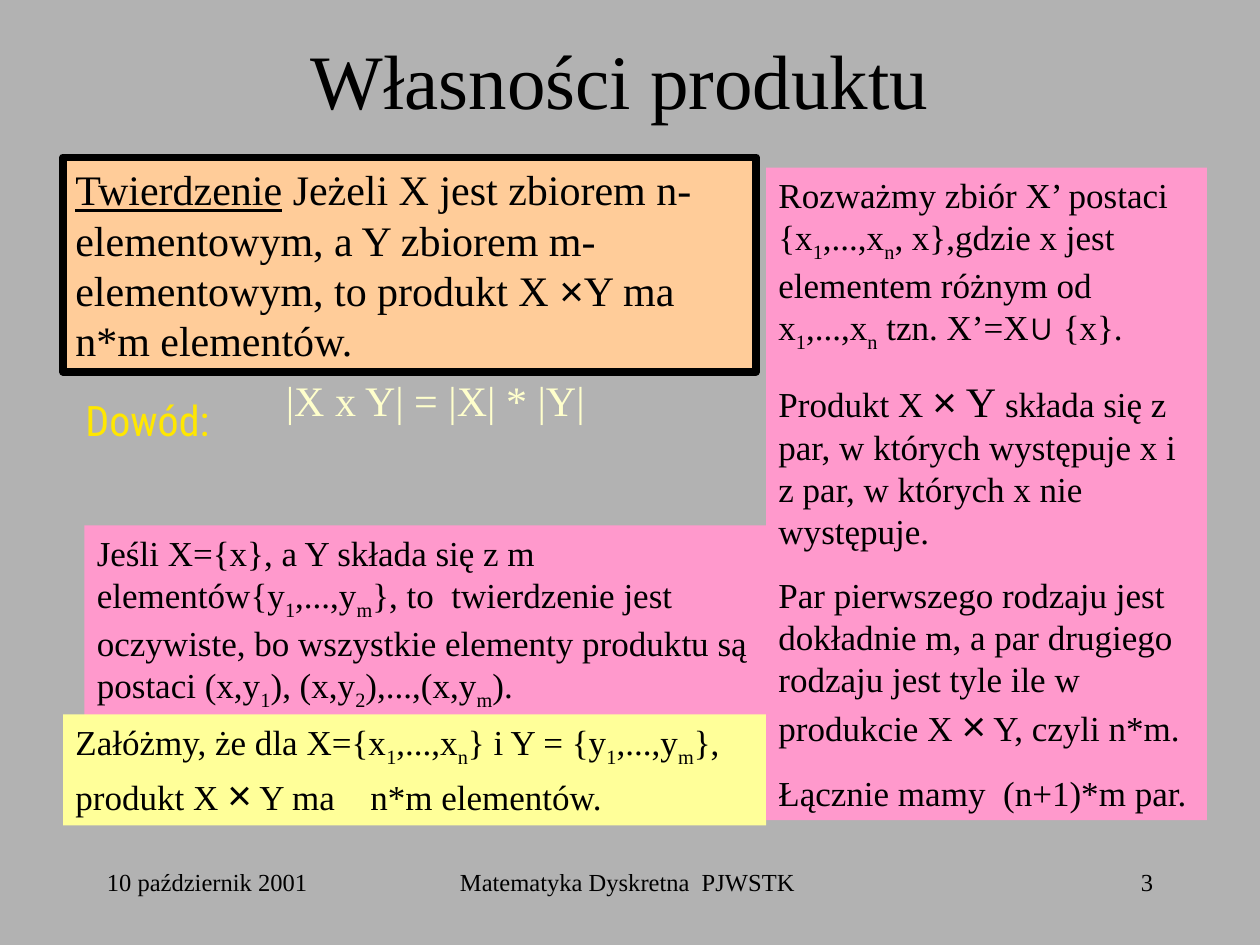
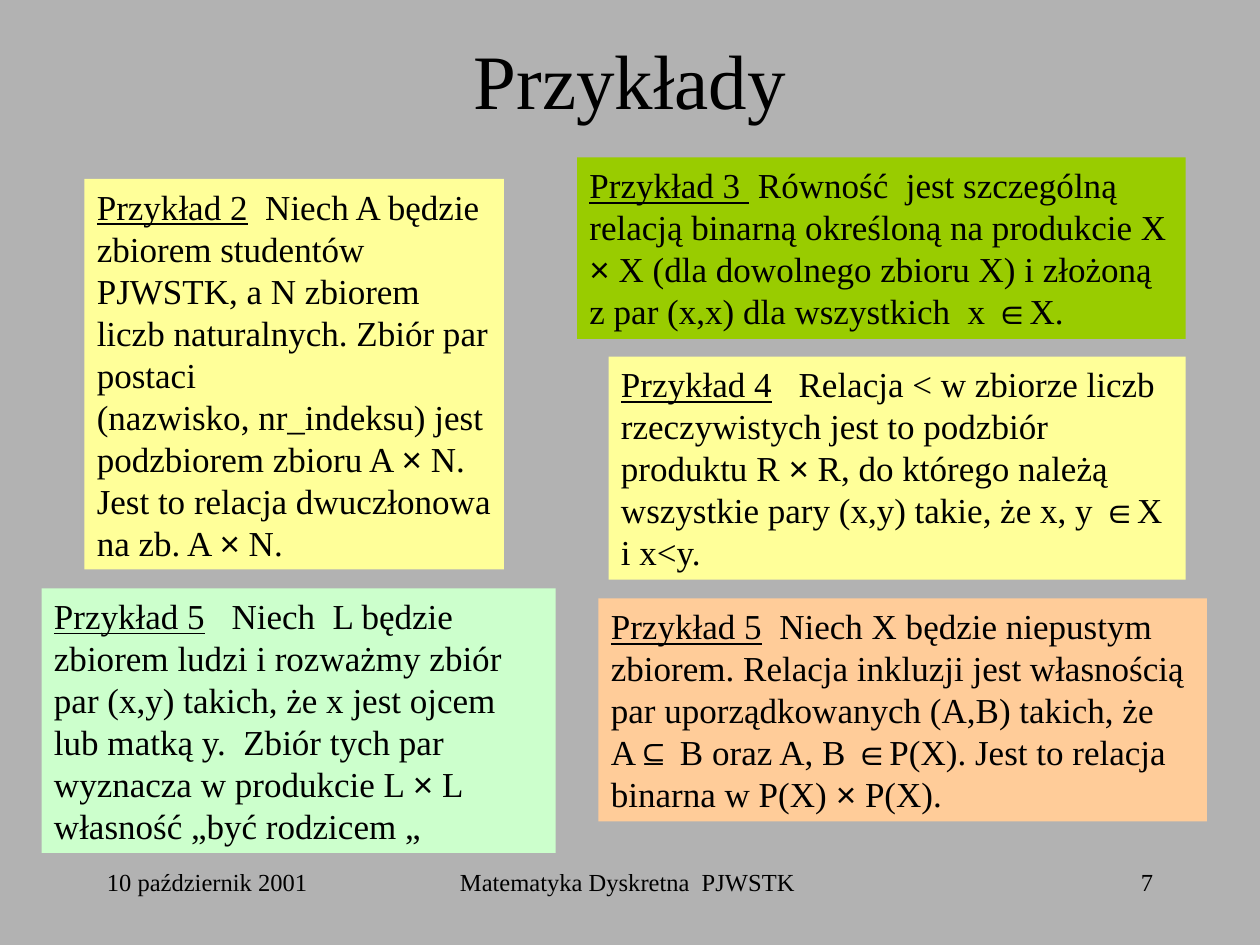
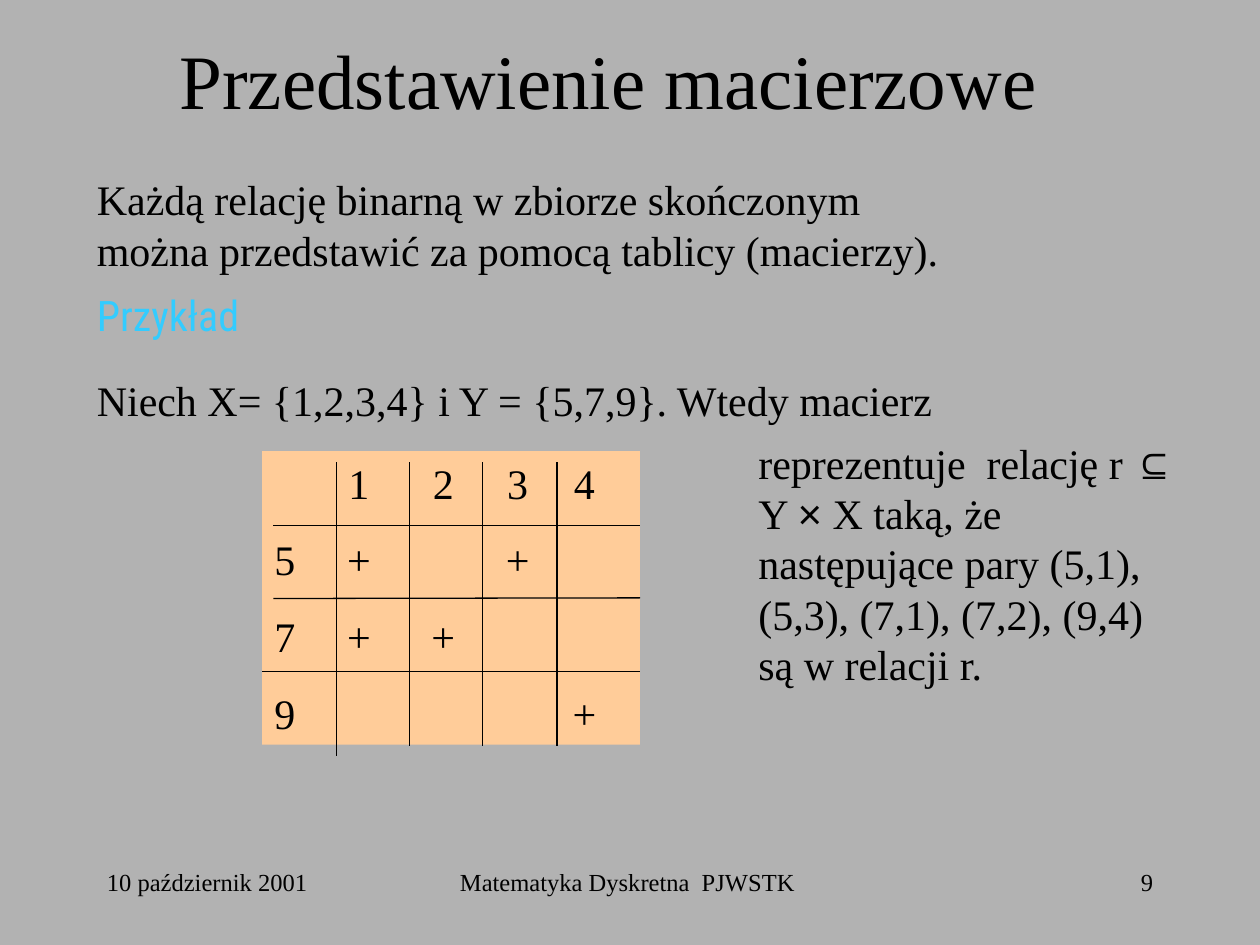
from itertools import groupby

from lxml.etree import SubElement
from pptx import Presentation
from pptx.dml.color import RGBColor
from pptx.enum.shapes import MSO_CONNECTOR as Connector, MSO_SHAPE as Shape
from pptx.enum.text import MSO_ANCHOR as Anchor, PP_ALIGN as Align
from pptx.oxml.ns import qn
from pptx.util import Inches, Pt

COLORS = {
    "background": "B2B2B2", "black": "000000", "peach": "FFCC99",
    "pink": "FF99CC", "yellow": "FFFF99", "green": "99CC00",
    "mint": "CCFFCC", "gold": "FFE701", "cream": "FFFFCC", "sky": "33CCFF",
}
TEXT_FONT = "Times New Roman"
SYMBOL_FONT = "Arial"
HEADING_FONT = "Roboto Condensed"
SYMBOLS = "×∪∈⊆"
LARGE = 24
TITLE_ONLY = 5
RIGHT_SIDE = 3

# Inline marks: ~subscript~, ^large^, `underlined`
MARKS = "~^`"


def color(name):
    return RGBColor.from_string(COLORS[name])


def inches(box):
    return [Inches(value) for value in box]


def split_runs(text):
    """Yield (characters, active marks, is symbol) for each run."""
    active, letters = frozenset(), []
    for letter in text:
        if letter in MARKS:
            active = active ^ {letter}
        else:
            letters.append((letter, active, letter in SYMBOLS))
    for (marks, symbol), group in groupby(letters, key=lambda item: item[1:]):
        yield "".join(item[0] for item in group), marks, symbol


def add_run(paragraph, text, marks, symbol, size, font, ink):
    run = paragraph.add_run()
    run.text = text
    formats = {
        "name": SYMBOL_FONT if symbol else font,
        "size": Pt(LARGE if "^" in marks else size),
        "underline": True if "`" in marks else None,
    }
    for key, value in formats.items():
        setattr(run.font, key, value)
    run.font.color.rgb = color(ink)
    if "~" in marks:
        run._r.get_or_add_rPr().set("baseline", "-25000")


def add_tabs(paragraph, stops, kind):
    tab_list = SubElement(paragraph._p.get_or_add_pPr(), qn("a:tabLst"))
    for stop in stops:
        SubElement(tab_list, qn("a:tab"), pos=str(Inches(stop)), algn=kind)


def write_text(frame, paragraphs, size=20, font=TEXT_FONT, ink="black",
               align=Align.LEFT, anchor=Anchor.TOP, wrap=True,
               tabs=(), tab_kind="l"):
    frame.word_wrap = wrap
    frame.vertical_anchor = anchor
    for index, text in enumerate(paragraphs):
        paragraph = frame.add_paragraph() if index else frame.paragraphs[0]
        paragraph.alignment = align
        if index:
            paragraph.space_before = Pt(size * 0.625)
        if tabs:
            add_tabs(paragraph, tabs, tab_kind)
        for number, line in enumerate(text.split("\n")):
            if number:
                paragraph.add_line_break()
            for run in split_runs(line):
                add_run(paragraph, *run, size, font, ink)


def add_text(slide, box, text, **formats):
    shape = slide.shapes.add_textbox(*inches(box))
    write_text(shape.text_frame, [text], **formats)


def add_panel(parent, box, fill, paragraphs, border=None, **formats):
    panel = parent.shapes.add_shape(Shape.RECTANGLE, *inches(box))
    panel.shadow.inherit = False
    panel.fill.solid()
    panel.fill.fore_color.rgb = color(fill)
    if border:
        panel.line.color.rgb = color("black")
        panel.line.width = Pt(border)
    else:
        panel.line.fill.background()
    write_text(panel.text_frame, paragraphs, **formats)
    return panel


def add_rule(parent, start, end):
    rule = parent.shapes.add_connector(Connector.STRAIGHT, *inches(start + end))
    rule.line.color.rgb = color("black")
    rule.line.width = Pt(0.75)
    SubElement(rule._element.spPr, qn("a:effectLst"))
    return rule


def add_slide(presentation, title, title_left, number):
    slide = presentation.slides.add_slide(presentation.slide_layouts[TITLE_ONLY])
    heading = slide.shapes.title
    box = inches((title_left, 0, 8.5, 1.25))
    for key, value in zip(("left", "top", "width", "height"), box):
        setattr(heading, key, value)
    write_text(heading.text_frame, [title], size=44, align=Align.CENTER,
               anchor=Anchor.MIDDLE)
    # Footer
    for left, width, text, align in (
        (3.42, 3.17, "Matematyka Dyskretna  PJWSTK ", Align.CENTER),
        (7.17, 2.08, str(number), Align.RIGHT),
        (0.75, 2.08, "10 październik 2001", Align.LEFT),
    ):
        add_text(slide, (left, 6.83, width, 0.5), text, size=14, align=align)
    return slide


def build_product_slide(presentation):
    slide = add_slide(presentation, "Własności produktu", 0.67, 3)
    # Theorem
    add_panel(slide, (0.5, 1.25, 5.5, 1.7), "peach", [
        "`Twierdzenie` Jeżeli X jest zbiorem n-elementowym, a Y zbiorem "
        "m-elementowym, to produkt X ×Y ma n*m elementów."],
        border=4.5, size=LARGE)
    add_text(slide, (0.58, 3.08, 1.49, 0.96), "Dowód:", size=LARGE,
             font=HEADING_FONT, ink="gold", wrap=False)
    # Proof
    add_panel(slide, (0.67, 4.17, 5.58, 1.53), "pink", [
        "Jeśli X={x}, a Y składa się z m elementów{y~1~,...,y~m~}, to  "
        "twierdzenie jest oczywiste, bo wszystkie elementy produktu są "
        "postaci (x,y~1~), (x,y~2~),...,(x,y~m~)."])
    add_panel(slide, (0.5, 5.67, 5.58, 0.88), "yellow", [
        "Załóżmy, że dla X={x~1~,...,x~n~} i Y = {y~1~,...,y~m~}, "
        "produkt X ^×^ Y ma\tn*m elementów."], tabs=[2.34])
    add_panel(slide, (6.08, 1.33, 3.5, 5.18), "pink", [
        "Rozważmy zbiór X’ postaci {x~1~,...,x~n~, x},gdzie x jest elementem "
        "różnym od x~1~,...,x~n~ tzn. X’=X∪ {x}.",
        "Produkt X ^× Y ^składa się z par, w których występuje x i z par, "
        "w których x nie występuje.",
        "Par pierwszego rodzaju jest dokładnie m, a par drugiego rodzaju "
        "jest tyle ile w produkcie X ^×^ Y, czyli n*m.",
        "Łącznie mamy  (n+1)*m par."])
    add_text(slide, (2.17, 2.92, 3.6, 1.1), "|X x Y| = |X| * |Y|",
             size=LARGE, ink="cream", wrap=False)


def build_examples_slide(presentation):
    slide = add_slide(presentation, "Przykłady", 0.75, 7)
    examples = (
        ((4.58, 1.25, 4.83, 1.44), "green",
         "`Przykład 3 ` Równość  jest szczególną relacją binarną określoną na "
         "produkcie X × X (dla dowolnego zbioru X) i złożoną z par (x,x) dla "
         "wszystkich  x ∈X.", ()),
        ((0.67, 1.42, 3.33, 3.1), "yellow",
         "`Przykład 2`  Niech A będzie zbiorem studentów PJWSTK, a N zbiorem "
         "liczb naturalnych. Zbiór par postaci\n(nazwisko, nr_indeksu) jest "
         "podzbiorem zbioru A × N. Jest to relacja dwuczłonowa na zb. A × N.",
         ()),
        ((4.83, 2.83, 4.58, 1.77), "yellow",
         "`Przykład 4`\tRelacja < w zbiorze liczb rzeczywistych jest to "
         "podzbiór produktu R × R, do którego należą wszystkie pary (x,y) "
         "takie, że x, y ∈X i x<y.", [1.41]),
        ((0.33, 4.67, 4.08, 2.1), "mint",
         "`Przykład 5`\tNiech  L będzie zbiorem ludzi i rozważmy zbiór par "
         "(x,y) takich, że x jest ojcem lub matką y.  Zbiór tych par wyznacza "
         "w produkcie L × L własność „być rodzicem „", [1.41]),
        ((4.75, 4.75, 4.83, 1.77), "peach",
         "`Przykład 5`  Niech X będzie niepustym zbiorem. Relacja inkluzji "
         "jest własnością par uporządkowanych (A,B) takich, że  A⊆ B oraz "
         "A, B ∈P(X). Jest to relacja binarna w P(X) × P(X).", ()),
    )
    for box, fill, text, tabs in examples:
        add_panel(slide, box, fill, [text], tabs=tabs)


def add_relation_matrix(slide):
    columns, rows = (1, 2, 3, 4), (5, 7, 9)
    relation = {(5, 1), (5, 3), (7, 1), (7, 2), (9, 4)}
    lines = ["\t" + "\t".join(str(column) for column in columns)]
    for row in rows:
        cells = ["+" if (row, column) in relation else "" for column in columns]
        lines.append("\t".join([str(row)] + cells).rstrip("\t"))

    group = slide.shapes.add_group_shape()
    matrix = add_panel(group, (2.08, 3.58, 3, 2.33), "peach", lines,
                       size=LARGE, tabs=[0.67, 1.34, 1.93, 2.46],
                       tab_kind="ctr")
    # Grid rules
    for left, top in ((2.17, 4.17), (2.17, 4.75), (2.08, 5.33)):
        rule = add_rule(group, (left, top), (5.08, top))
        if top == 4.75:
            rule.end_connect(matrix, RIGHT_SIDE)
    for left, bottom in ((2.67, 6), (3.25, 5.92), (3.83, 5.92), (4.42, 5.92)):
        add_rule(group, (left, 3.67), (left, bottom))


def build_matrix_slide(presentation):
    slide = add_slide(presentation, "Przedstawienie macierzowe", 0.58, 9)
    add_text(slide, (0.67, 1.33, 6.92, 0.9),
             "Każdą relację binarną w zbiorze skończonym można przedstawić "
             "za pomocą tablicy (macierzy).", size=LARGE)
    add_text(slide, (0.67, 2.92, 7.17, 0.5),
             "Niech X= {1,2,3,4} i Y = {5,7,9}. Wtedy macierz", size=LARGE)
    add_relation_matrix(slide)
    add_text(slide, (5.92, 3.42, 3.58, 2.1),
             "reprezentuje  relację r ⊆ Y × X taką, że następujące pary "
             "(5,1), (5,3), (7,1), (7,2), (9,4) są w relacji r.", size=LARGE)
    add_text(slide, (0.67, 2.25, 2.08, 0.72), "Przykład", size=LARGE,
             font=HEADING_FONT, ink="sky", wrap=False)


def main():
    presentation = Presentation()
    presentation.slide_width = Inches(10)
    presentation.slide_height = Inches(7.5)
    # Shared background
    background = presentation.slide_master.background.fill
    background.solid()
    background.fore_color.rgb = color("background")

    build_product_slide(presentation)
    build_examples_slide(presentation)
    build_matrix_slide(presentation)
    presentation.save("out.pptx")


if __name__ == "__main__":
    main()
